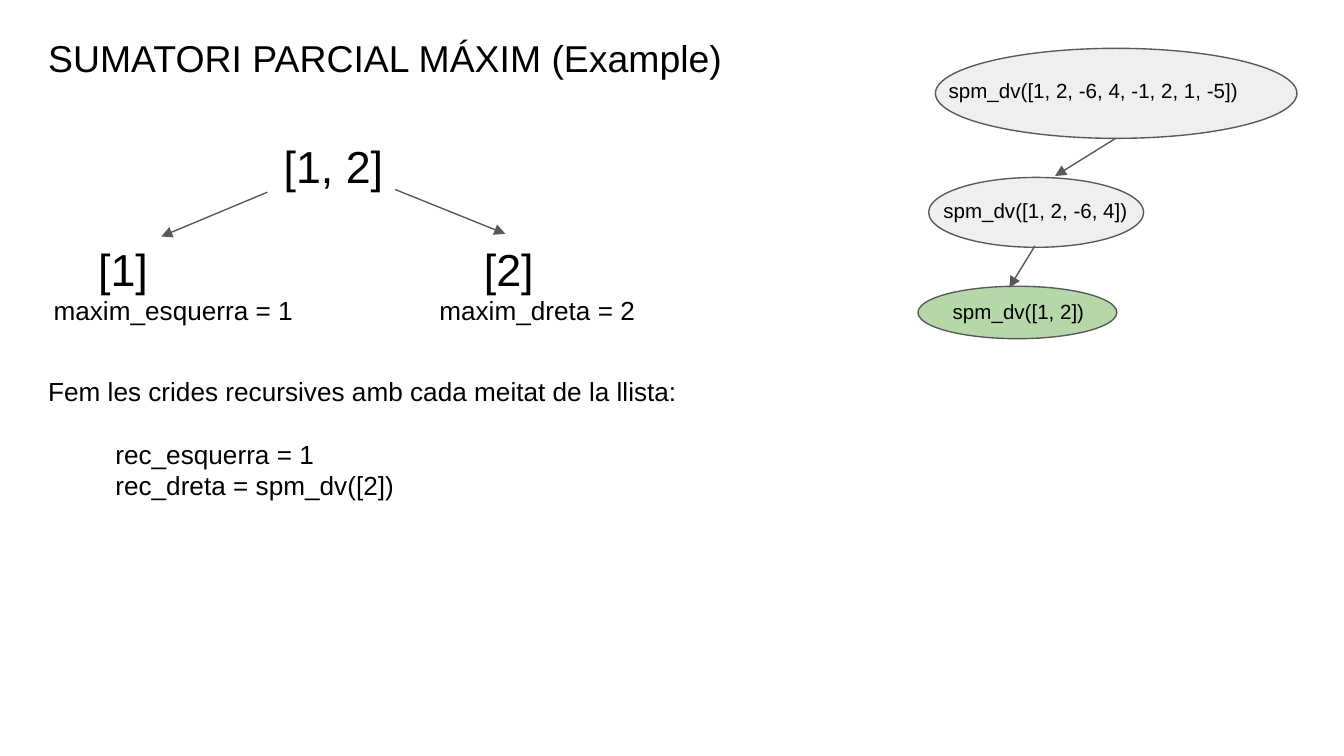
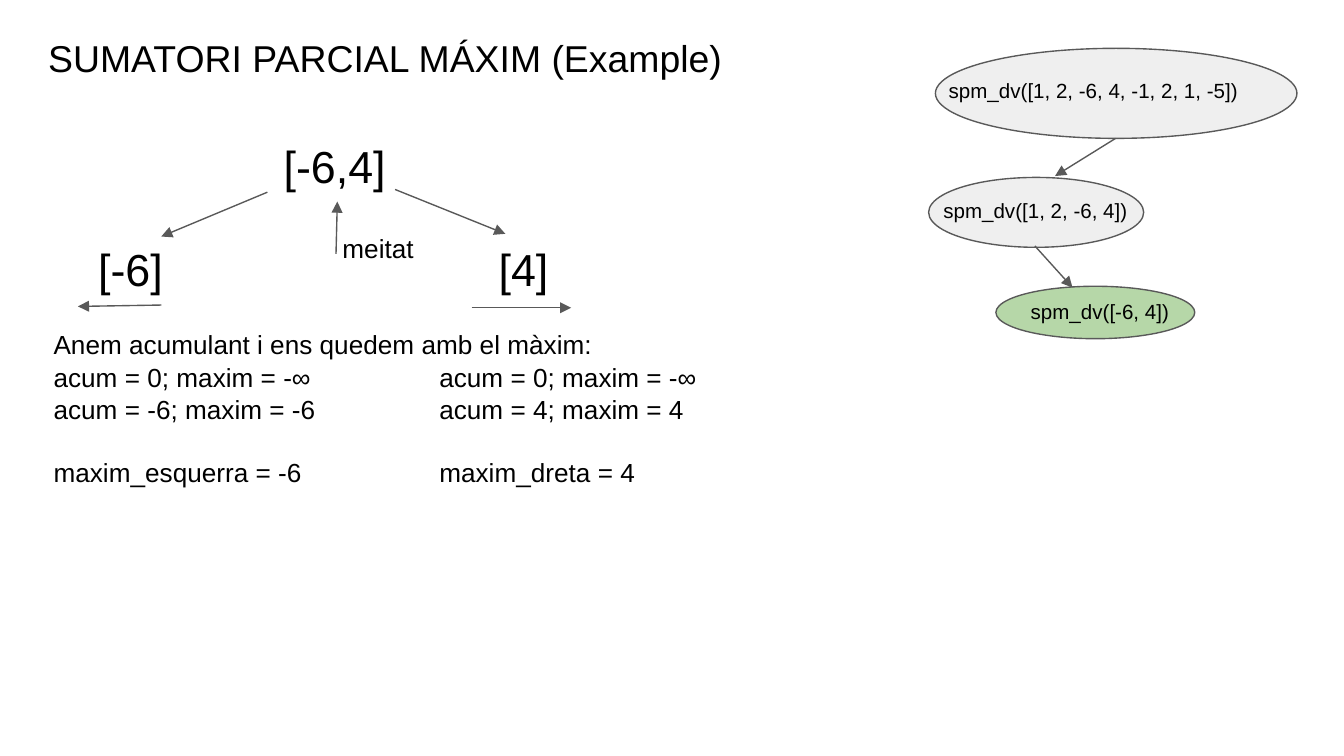
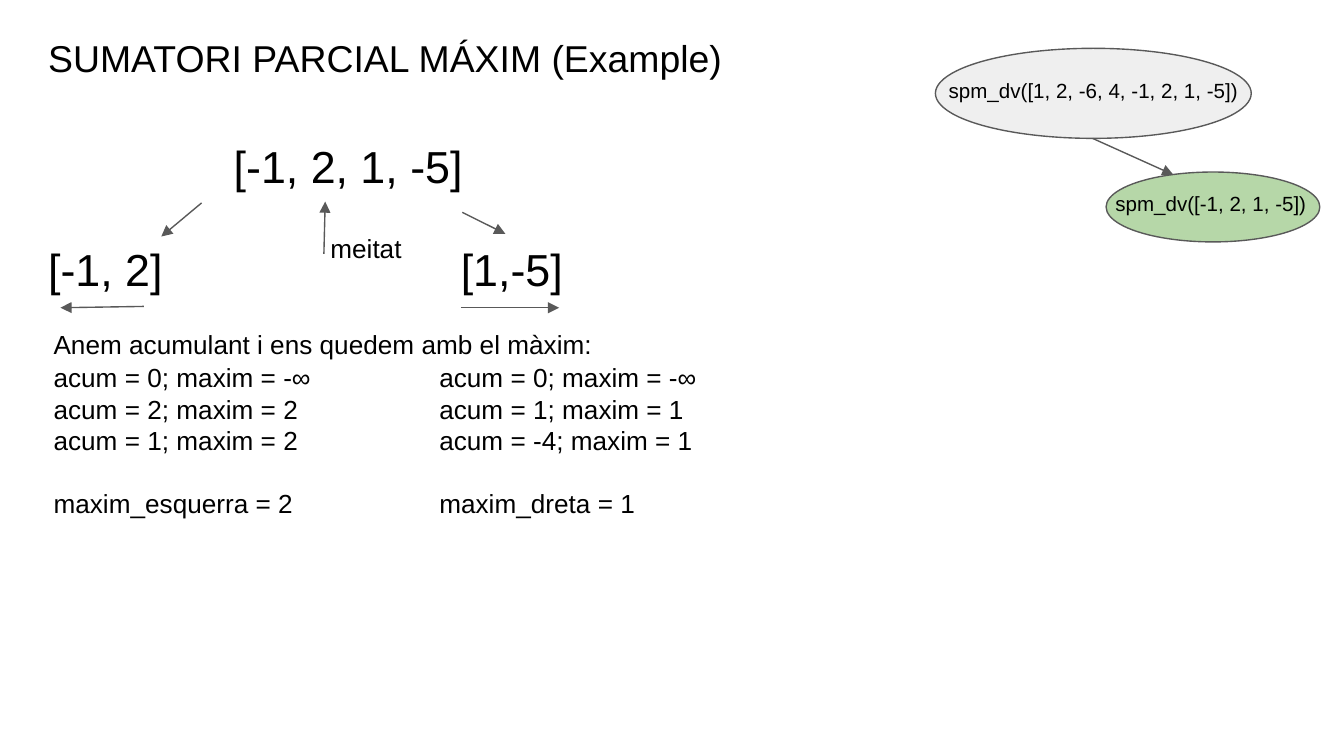
from dataclasses import dataclass

import pptx
import pptx.dml.color
import pptx.enum.shapes
import pptx.enum.text
import pptx.oxml
import pptx.oxml.ns
import pptx.slide
import pptx.text.text
import pptx.util

Inches = pptx.util.Inches
Pt = pptx.util.Pt


@dataclass(frozen=True)
class Theme:
    font: str = "Arial"
    ink: str = "000000"
    outline: str = "595959"
    pending: str = "EFEFEF"
    active: str = "B6D7A8"
    title: int = 20
    array: int = 24
    body: int = 14
    call: int = 11
    line: float = 0.75
    gap: int = 17
    inset: float = 0.1


THEME = Theme()


@dataclass(frozen=True)
class Line:
    text: str
    indent: float = 0
    gap: bool = False


@dataclass(frozen=True)
class Call:
    text: str
    left: float
    top: float
    width: float
    height: float
    label_left: float
    label_top: float
    active: bool = False


@dataclass(frozen=True)
class Arrow:
    x1: float
    y1: float
    x2: float
    y2: float


@dataclass(frozen=True)
class Step:
    array: str
    array_indent: float
    halves: tuple[str, str]
    halves_indent: float
    halves_tab: float
    left_sums: list[str]
    right_sums: list[str]
    calls: list[Call]
    arrows: list[Arrow]
    middle_left: float | None = None
    recursion: tuple[Line, ...] = ()


def root_call(width: float) -> Call:
    return Call("spm_dv([1, 2, -6, 4, -1, 2, 1, -5])", 6.96, 0.36, width, 0.67, 6.96, 0.49)


def leaf_call(text: str, left: float) -> Call:
    return Call(text, left, 2.13, 1.48, 0.39, left + 0.16, 2.13, True)


LEFT_CALL = Call("spm_dv([1, 2, -6, 4])", 6.91, 1.32, 1.6, 0.52, 6.92, 1.38)
RIGHT_CALL = Call("spm_dv([-1, 2, 1, -5])", 8.23, 1.28, 1.59, 0.52, 8.2, 1.33, True)
SPLIT_ARROWS = [Arrow(1.99, 1.43, 1.2, 1.76), Arrow(2.94, 1.41, 3.76, 1.74)]
ROOT_TO_LEFT = Arrow(8.3, 1.03, 7.85, 1.31)
START = "acum = 0; maxim = -∞"

STEPS = [
    Step(
        "[1, 2]", 0.37, ("[1]", "[2]"), 0.37, 2.87,
        ["maxim_esquerra = 1"],
        ["maxim_dreta = 2"],
        [root_call(2.69), LEFT_CALL, leaf_call("spm_dv([1, 2])", 6.83)],
        [*SPLIT_ARROWS, ROOT_TO_LEFT, Arrow(7.7, 1.83, 7.51, 2.14)],
        recursion=(
            Line("Fem les crides recursives amb cada meitat de la llista:"),
            Line("rec_esquerra = 1", 0.5, True),
            Line("rec_dreta = spm_dv([2])", 0.5),
        ),
    ),
    Step(
        "[-6,4]", 0.37, ("[-6]", "[4]"), 0.37, 2.98,
        [START, "acum = -6; maxim = -6", "maxim_esquerra = -6"],
        [START, "acum = 4; maxim = 4", "maxim_dreta = 4"],
        [root_call(2.69), LEFT_CALL, leaf_call("spm_dv([-6, 4])", 7.41)],
        [*SPLIT_ARROWS, ROOT_TO_LEFT, Arrow(7.7, 1.83, 7.98, 2.14),
         Arrow(1.2, 2.27, 0.58, 2.28), Arrow(3.51, 2.29, 4.25, 2.29)],
        middle_left=2.45,
    ),
    Step(
        "[-1, 2, 1, -5]", 0, ("[-1, 2]", "[1,-5]"), 0, 3.07,
        [START, "acum = 2; maxim = 2", "acum = 1; maxim = 2", "maxim_esquerra = 2"],
        [START, "acum = 1; maxim = 1", "acum = -4; maxim = 1", "maxim_dreta = 1"],
        [root_call(2.35), RIGHT_CALL],
        [Arrow(1.5, 1.51, 1.2, 1.76), Arrow(3.44, 1.58, 3.76, 1.74),
         Arrow(8.13, 1.03, 8.73, 1.3),
         Arrow(1.07, 2.28, 0.45, 2.29), Arrow(3.43, 2.29, 4.16, 2.29)],
        middle_left=2.36,
    ),
]


def rgb(value: str) -> pptx.dml.color.RGBColor:
    return pptx.dml.color.RGBColor.from_string(value)


def add_tab(p: pptx.text.text._Paragraph, position: float) -> None:
    tabs = pptx.oxml.parse_xml(
        f'<a:tabLst {pptx.oxml.ns.nsdecls("a")}>'
        f'<a:tab pos="{int(Inches(position))}" algn="l"/></a:tabLst>'
    )
    p._p.get_or_add_pPr().append(tabs)


def add_text(
    s: pptx.slide.Slide, left: float, top: float, width: float, height: float,
    lines: list[Line], size: int, indent: float = 0, tab: float | None = None,
) -> None:
    tf = s.shapes.add_textbox(
        Inches(left), Inches(top), Inches(width), Inches(height)
    ).text_frame
    tf.word_wrap = True
    tf.vertical_anchor = pptx.enum.text.MSO_ANCHOR.TOP
    tf.margin_top = tf.margin_right = tf.margin_bottom = Inches(THEME.inset)
    tf.margin_left = Inches(THEME.inset + indent)
    for i, line in enumerate(lines):
        p = tf.add_paragraph() if i else tf.paragraphs[0]
        p.text = line.text
        if line.indent:
            p._p.get_or_add_pPr().set("marL", str(int(Inches(line.indent))))
        if line.gap:
            p.space_before = Pt(THEME.gap)
        if tab is not None:
            add_tab(p, tab)
        for r in p.runs:
            r.font.name = THEME.font
            r.font.size = Pt(size)
            r.font.color.rgb = rgb(THEME.ink)


def add_call(s: pptx.slide.Slide, call: Call) -> None:
    sp = s.shapes.add_shape(
        pptx.enum.shapes.MSO_SHAPE.OVAL,
        Inches(call.left), Inches(call.top), Inches(call.width), Inches(call.height),
    )
    sp.shadow.inherit = False
    sp.fill.solid()
    sp.fill.fore_color.rgb = rgb(THEME.active if call.active else THEME.pending)
    sp.line.color.rgb = rgb(THEME.outline)
    sp.line.width = Pt(THEME.line)
    add_text(s, call.label_left, call.label_top, 2.81, 0.33, [Line(call.text)], THEME.call)


def add_arrow(s: pptx.slide.Slide, arrow: Arrow) -> None:
    cx = s.shapes.add_connector(
        pptx.enum.shapes.MSO_CONNECTOR.STRAIGHT,
        Inches(arrow.x1), Inches(arrow.y1), Inches(arrow.x2), Inches(arrow.y2),
    )
    cx.line.color.rgb = rgb(THEME.outline)
    cx.line.width = Pt(THEME.line)
    ns = pptx.oxml.ns.nsdecls("a")
    cx.line._get_or_add_ln().append(
        pptx.oxml.parse_xml(f'<a:tailEnd {ns} type="triangle" w="med" len="med"/>')
    )
    cx._element.spPr.append(pptx.oxml.parse_xml(f"<a:effectLst {ns}/>"))


def sum_lines(sums: list[str]) -> list[Line]:
    *running, result = sums
    return [*map(Line, running), Line(result, gap=bool(running))]


def add_step(s: pptx.slide.Slide, step: Step) -> None:
    add_text(s, 0.26, 0.16, 8.32, 0.52, [Line("SUMATORI PARCIAL MÁXIM (Example)")], THEME.title)
    add_text(s, 1.64, 0.93, 2.12, 0.52, [Line(step.array)], THEME.array, step.array_indent)
    add_text(
        s, 0.26, 1.7, 4.88, 0.52, [Line("\t".join(step.halves))], THEME.array,
        step.halves_indent, step.halves_tab,
    )
    sums_top = 2.09 if step.middle_left is None else 2.59
    add_text(s, 0.3, sums_top, 2.62, 1.72, sum_lines(step.left_sums), THEME.body)
    add_text(s, 3.17, sums_top, 2.62, 1.41, sum_lines(step.right_sums), THEME.body)
    for call in step.calls:
        add_call(s, call)
    for arrow in step.arrows:
        add_arrow(s, arrow)
    if step.middle_left is not None:
        x = step.middle_left + 0.05
        add_arrow(s, Arrow(x, 1.89, x + 0.01, 1.5))
        add_text(s, step.middle_left, 1.63, 0.8, 0.52, [Line("meitat")], THEME.body)
        add_text(
            s, 0.3, 2.34, 4.42, 0.52,
            [Line("Anem acumulant i ens quedem amb el màxim:")], THEME.body,
        )
    if step.recursion:
        add_text(s, 0.26, 2.69, 5.09, 1, list(step.recursion), THEME.body)


def main() -> None:
    prs = pptx.Presentation()
    prs.slide_width = Inches(10)
    prs.slide_height = prs.slide_width * 9 // 16
    for step in STEPS:
        add_step(prs.slides.add_slide(prs.slide_layouts[6]), step)
    prs.save("out.pptx")


if __name__ == "__main__":
    main()
